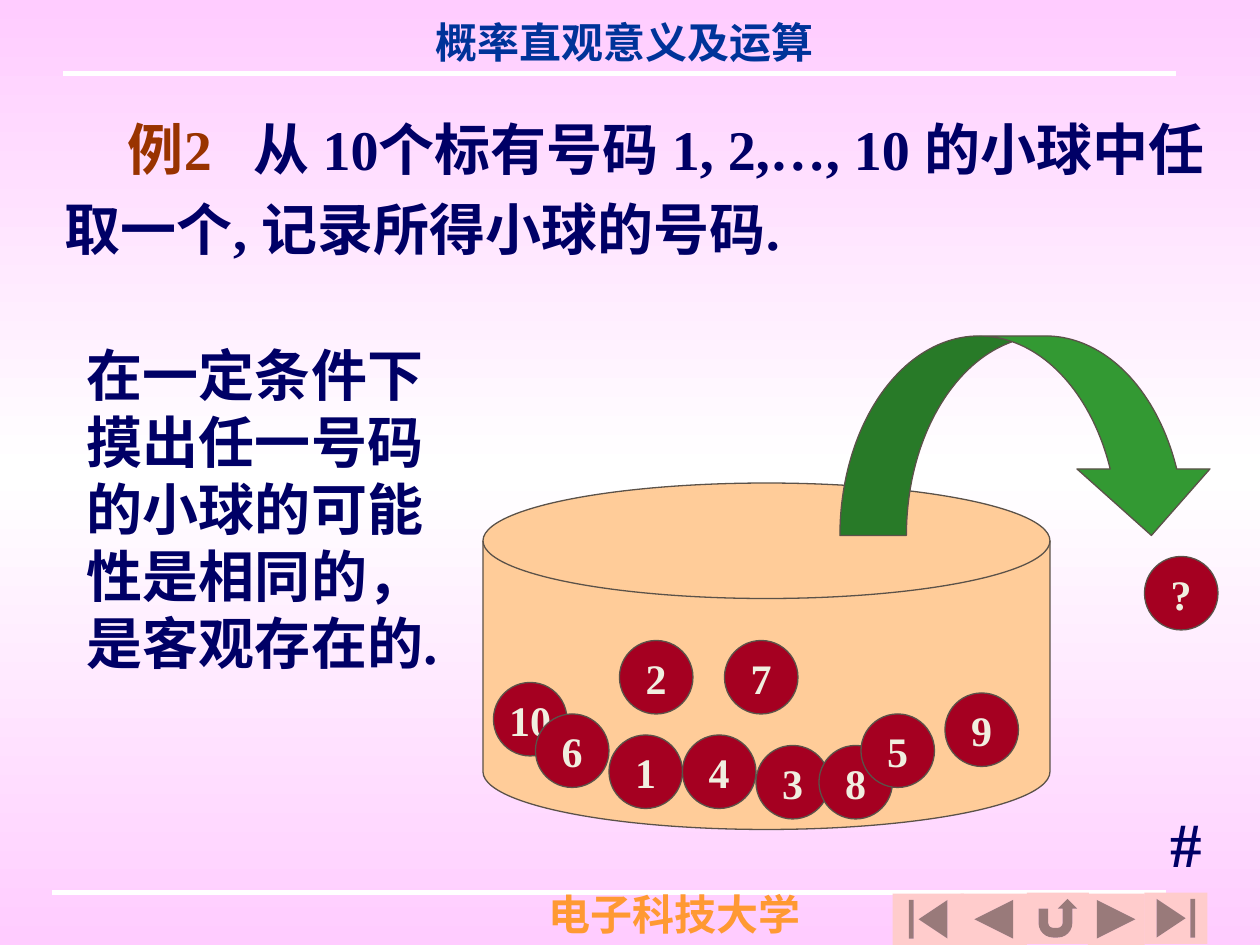
import copy
import pptx
import pptx.util
import pptx.dml.color
import pptx.enum.shapes
import pptx.enum.text
import pptx.oxml.ns
import lxml.etree

Cm, Pt = pptx.util.Cm, pptx.util.Pt
KIND = pptx.enum.shapes.MSO_SHAPE
ALIGN = pptx.enum.text.PP_ALIGN
qn = pptx.oxml.ns.qn

FACE = "Times New Roman"
NAVY, EDGE = "000066", "5B5249"
UNIT = 25.4 / 120  # the slide is a grid of 120 by 90 units

BACK = [(0, "FFCCFF"), (0.5, "FFFFFF"), (1, "FFCCFF")]
RULES = [(5, 111, 85), (6, 112, 7)]  # left, right, height
# text, place, size, colour, centred, wrapped
NOTES = [
    ("电子科技大学", (51.1, 84, 26.4, 6), 24, "FF9933", False, False),
    ("概率直观意义及运算", (40, 1, 38.9, 6), 24, "003399", True, True),
    ("在一定条件下摸出任一号码的小球的可能性是相同的，是客观存在的.",
     (7.1, 31.8, 36.8, 33.2), 32, NAVY, False, True),
    ("#", (110, 76, 6, 8.4), 36, NAVY, True, True),
]
TASK = ("例2", "从 10个标有号码 1, 2,…, 10 的小球中任取一个, 记录所得小球的号码.")
BALLS = [("1", 58, 70), ("2", 59, 61), ("3", 72, 71), ("10", 47, 65),
         ("9", 90, 66), ("8", 78, 71), ("7", 69, 61), ("6", 51, 68),
         ("5", 82, 68), ("4", 65, 70)]
DRAWN = ("?", 109, 53)
BUTTONS = [
    (KIND.ACTION_BUTTON_BEGINNING, (85, 85.1, 6.8, 4.9)),
    (KIND.ACTION_BUTTON_BACK_OR_PREVIOUS, (91.5, 85.1, 6.3, 4.9)),
    (KIND.ACTION_BUTTON_RETURN, (97.8, 85, 5.9, 4.9)),
    (KIND.ACTION_BUTTON_FORWARD_OR_NEXT, (103.6, 85.1, 5.4, 4.9)),
    (KIND.ACTION_BUTTON_END, (109, 85, 6, 4.9)),
]


def rgb(code):
    return pptx.dml.color.RGBColor.from_string(code)


def grid(*vals):
    return [Cm(v * UNIT) for v in vals]


def style(para, size, color, mid=False):
    para.alignment = ALIGN.CENTER if mid else ALIGN.LEFT
    font = para.font
    font.name, font.size, font.bold = FACE, Pt(size), True
    font.color.rgb = rgb(color)


def paint(slide):
    """Fill the background with the vertical gradient."""
    fill = slide.background.fill
    fill.gradient()
    fill.gradient_angle = 90
    stops = next(slide.element.iter(qn("a:gsLst")))
    stops.append(copy.deepcopy(stops[0]))
    for stop, (pos, color) in zip(fill.gradient_stops, BACK):
        stop.position = pos
        stop.color.rgb = rgb(color)


def rule(slide, left, right, top):
    line = slide.shapes.add_connector(
        pptx.enum.shapes.MSO_CONNECTOR.STRAIGHT, *grid(left, top, right, top))
    line.line.color.rgb = rgb("FFFFFF")
    line.line.width = Pt(3)
    lxml.etree.SubElement(line._element.spPr, qn("a:effectLst"))


def box(slide, place, wrap=True):
    frame = slide.shapes.add_textbox(*grid(*place)).text_frame
    frame.word_wrap = wrap
    return frame.paragraphs[0]


def note(slide, text, place, size, color, mid, wrap):
    para = box(slide, place, wrap)
    para.text = text
    style(para, size, color, mid)


def task(slide):
    """Add the problem text with its indented, coloured label."""
    para = box(slide, (5, 9, 112, 16.5))
    label, body = TASK
    head = para.add_run()
    head.text = label
    head.font.color.rgb = rgb("993300")
    para.add_run().text = "\t" + body
    para.line_spacing = 1.2
    props = para._p.get_or_add_pPr()
    props.set("marL", "0")
    props.set("indent", str(Cm(1.27)))
    tabs = lxml.etree.SubElement(props, qn("a:tabLst"))
    lxml.etree.SubElement(tabs, qn("a:tab"), pos=str(Cm(4.34)), algn="l")
    style(para, 32, NAVY)


def solid(slide, kind, place, color, edge=True):
    shape = slide.shapes.add_shape(kind, *grid(*place))
    shape.shadow.inherit = False
    shape.fill.solid()
    shape.fill.fore_color.rgb = rgb(color)
    if edge:
        shape.line.color.rgb = rgb(EDGE)
        shape.line.width = Pt(0.75)
    else:
        shape.line.fill.background()
    return shape


def ball(slide, label, left, top):
    frame = solid(slide, KIND.OVAL, (left, top, 7, 7), "A50021").text_frame
    frame.word_wrap = False
    frame.vertical_anchor = pptx.enum.text.MSO_ANCHOR.MIDDLE
    para = frame.paragraphs[0]
    para.text = label
    style(para, 24, "F0EFE0", True)


def main():
    deck = pptx.Presentation()
    deck.slide_width, deck.slide_height = Cm(25.4), Cm(19.05)
    slide = deck.slides.add_slide(deck.slide_layouts[6])
    paint(slide)
    for item in RULES:
        rule(slide, *item)
    for item in NOTES:
        note(slide, *item)
    task(slide)
    solid(slide, KIND.FLOWCHART_MAGNETIC_DISK, (46, 46, 54, 33), "FFCC99")
    for item in BALLS:
        ball(slide, *item)
    arrow = solid(slide, KIND.CURVED_DOWN_ARROW, (80, 32, 36, 19), "339933")
    for i, part in enumerate((1, 2, 1)):
        arrow.adjustments[i] = part / 3
    ball(slide, *DRAWN)
    for kind, place in BUTTONS:
        solid(slide, kind, place, "FFCCCC", edge=False)
    deck.save("out.pptx")


if __name__ == "__main__":
    main()
